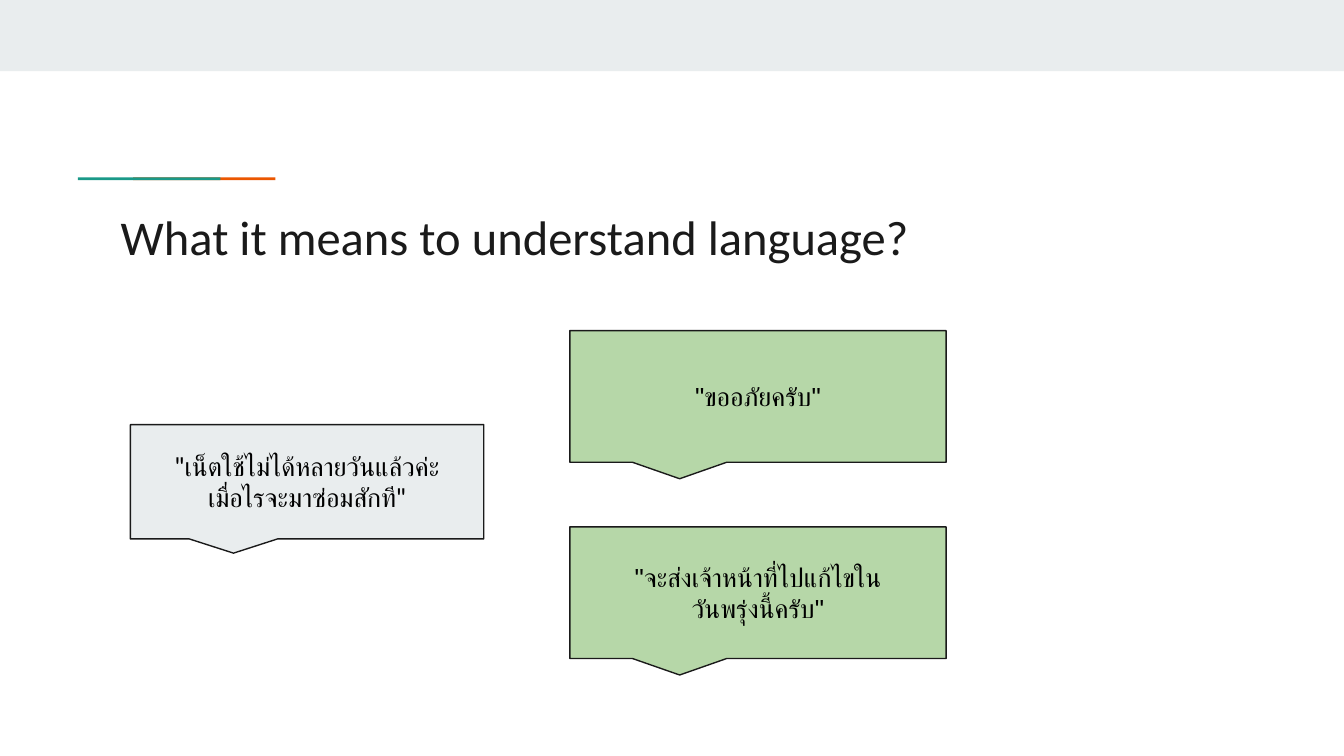
from lxml import etree
from pptx import Presentation
from pptx import util as u
from pptx.dml.color import RGBColor
from pptx.enum import shapes, text
from pptx.oxml.ns import qn

WIDTH = 10
HEIGHT = WIDTH * 9 / 16
COLORS = {"paper": "FFFFFF", "mist": "E9EDEE", "green": "B6D7A8", "teal": "1A9988",
          "orange": "EB5600", "ink": "1A1A1A", "black": "000000"}

# Speech bubble grid: customer on the left, two replies on the right
CUSTOMER = (0.97, 3.16, 2.63, 0.85)
REPLY_LEFT, REPLY_TOP, REPLY_WIDTH, REPLY_HEIGHT = 4.24, 2.46, 2.8, 0.98
REPLY_STEP = 1.46
REPLIES = [['"ขออภัยครับ"'],
           ['"จะส่งเจ้าหน้าที่ไปแก้ไขใน', 'วันพรุ่งนี้ครับ"']]


def color(name):
    return RGBColor.from_string(COLORS[name])


def inches(box):
    return [u.Inches(length) for length in box]


def write_lines(shape, lines, font, size, ink, align, anchor):
    frame = shape.text_frame
    frame.word_wrap = True
    frame.vertical_anchor = anchor
    frame.margin_left = frame.margin_right = u.Inches(0.1)
    frame.margin_top = frame.margin_bottom = u.Inches(0.1)
    paragraph = frame.paragraphs[0]
    paragraph.alignment = align
    for index, line in enumerate(lines):
        if index:
            paragraph.add_line_break()
        run = paragraph.add_run()
        run.text = line
        run.font.name = font
        run.font.size = u.Pt(size)
        run.font.color.rgb = color(ink)
        # Thai letters take the complex-script font
        etree.SubElement(run.font._element, qn("a:cs"), typeface=font)


def add_filled(slide, kind, box, fill):
    shape = slide.shapes.add_shape(kind, *inches(box))
    shape.shadow.inherit = False
    shape.fill.solid()
    shape.fill.fore_color.rgb = color(fill)
    shape.line.fill.background()
    return shape


def add_bubble(slide, box, fill, lines, font):
    bubble = add_filled(slide, shapes.MSO_SHAPE.ROUNDED_RECTANGULAR_CALLOUT, box, fill)
    for index, value in enumerate((-0.208, 0.625, 0)):
        bubble.adjustments[index] = value
    bubble.line.color.rgb = color("ink")
    bubble.line.width = u.Pt(0.75)
    write_lines(bubble, lines, font, 14, "black",
                text.PP_ALIGN.CENTER, text.MSO_ANCHOR.MIDDLE)


def add_title(slide, box, title):
    shape = slide.shapes.add_textbox(*inches(box))
    write_lines(shape, [title], "Calibri", 26, "ink",
                text.PP_ALIGN.LEFT, text.MSO_ANCHOR.TOP)


def main():
    presentation = Presentation()
    presentation.slide_width, presentation.slide_height = inches((WIDTH, HEIGHT))
    slide = presentation.slides.add_slide(presentation.slide_layouts[6])
    slide.background.fill.solid()
    slide.background.fill.fore_color.rgb = color("paper")

    # Top band and the two overlapping accent bars
    rectangle = shapes.MSO_SHAPE.RECTANGLE
    add_filled(slide, rectangle, (0, 0, WIDTH, 0.53), "mist")
    for left, fill in ((0.99, "orange"), (0.58, "teal")):
        add_filled(slide, rectangle, (left, 1.32, 1.06, 0.02), fill)

    # Conversation around the title
    add_bubble(slide, CUSTOMER, "mist",
               ['"เน็ตใช้ไม่ได้หลายวันแล้วค่ะ เมื่อไรจะมาซ่อมสักที"'], "Lato")
    add_title(slide, (0.8, 1.44, 8.41, 0.59), "What it means to understand language?")
    for row, lines in enumerate(REPLIES):
        box = (REPLY_LEFT, REPLY_TOP + row * REPLY_STEP, REPLY_WIDTH, REPLY_HEIGHT)
        add_bubble(slide, box, "green", lines, "Arial")

    presentation.save("out.pptx")


if __name__ == "__main__":
    main()
